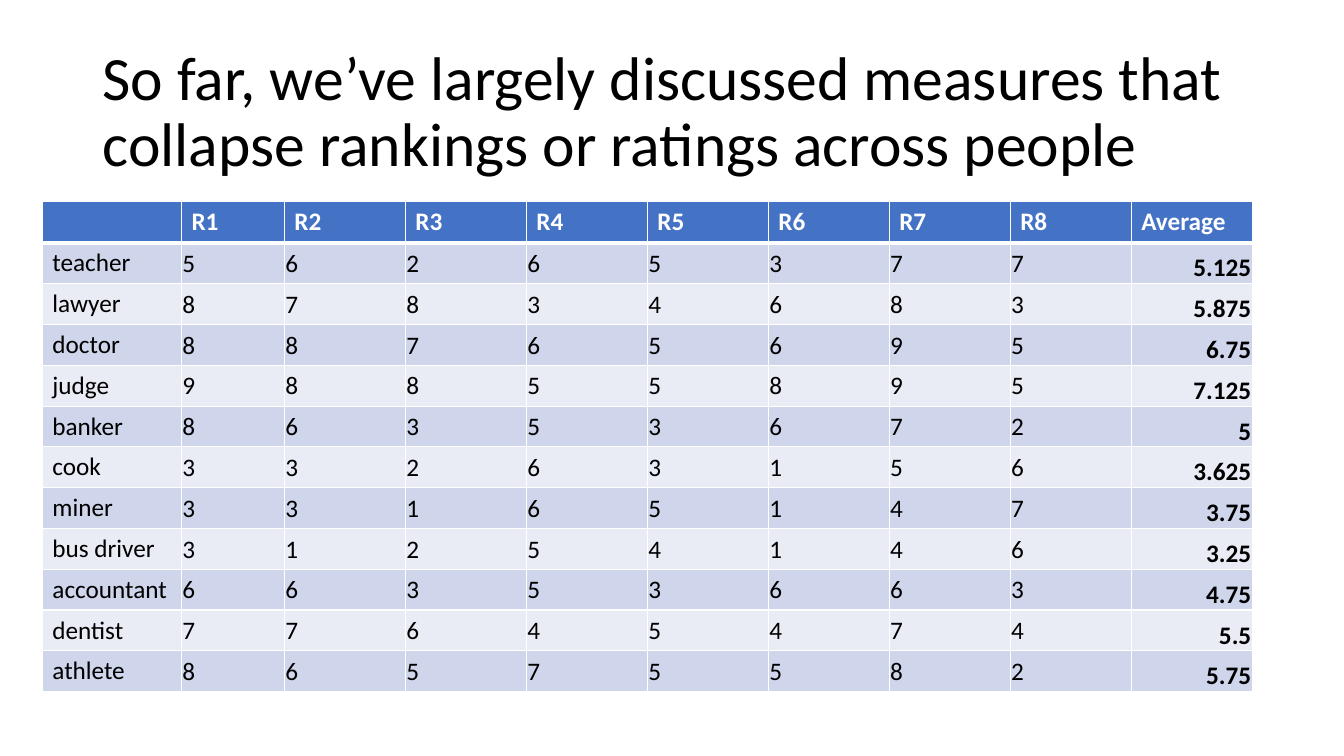
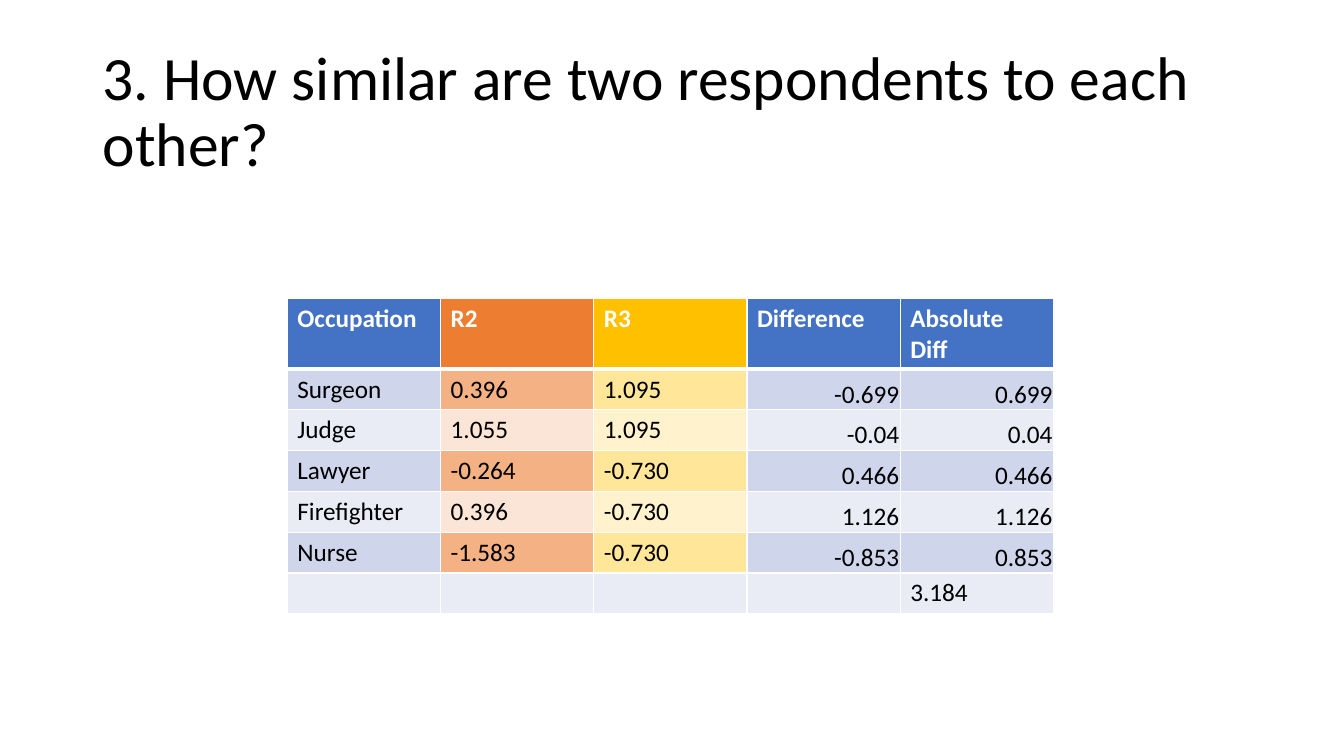
from dataclasses import dataclass

import lxml.etree
import pptx
import pptx.dml.color
import pptx.enum.text
import pptx.oxml.ns
import pptx.presentation
import pptx.slide
import pptx.table
import pptx.text.text
import pptx.util

Inches = pptx.util.Inches
Align = pptx.enum.text.PP_ALIGN
Anchor = pptx.enum.text.MSO_ANCHOR

FONT = "Calibri"
COLORS = {
    "text": "000000",
    "white": "FFFFFF",
    "blue": "4472C4",
    "blue_band": "CFD5EA",
    "blue_pale": "E9EBF5",
    "orange": "ED7D31",
    "orange_band": "F4B183",
    "orange_pale": "FBE5D6",
    "gold": "FFC000",
    "gold_band": "FFE699",
    "gold_pale": "FFF2CC",
}


@dataclass(frozen=True)
class CellStyle:
    align: Align = Align.LEFT
    anchor: Anchor = Anchor.TOP
    tight: bool = False
    bold: bool = False
    color: str = "text"


@dataclass(frozen=True)
class Column:
    header: str
    width: float
    style: CellStyle
    hue: str = "blue"


@dataclass(frozen=True)
class TableSpec:
    left: float
    top: float
    header_height: float
    row_height: float
    columns: list[Column]
    rows: list[list[str]]
    total: str = ""


HEADER = CellStyle(bold=True, color="white")
LABEL = CellStyle()
SCORE = CellStyle(anchor=Anchor.MIDDLE, tight=True)
RESULT = CellStyle(Align.RIGHT, Anchor.BOTTOM, tight=True)
AVERAGE = CellStyle(Align.RIGHT, Anchor.BOTTOM, tight=True, bold=True)


def rgb(name: str) -> pptx.dml.color.RGBColor:
    return pptx.dml.color.RGBColor.from_string(COLORS[name])


def format_runs(p: pptx.text.text._Paragraph, size: float, color: str, bold: bool = False) -> None:
    for r in p.runs:
        r.font.name = FONT
        r.font.size = pptx.util.Pt(size)
        r.font.bold = bold
        r.font.color.rgb = rgb(color)


def add_title(s: pptx.slide.Slide, text: str) -> None:
    sp = s.shapes.add_textbox(Inches(0.92), Inches(0.4), Inches(11.5), Inches(1.45))
    tf = sp.text_frame
    tf.word_wrap = True
    tf.vertical_anchor = Anchor.MIDDLE
    p = tf.paragraphs[0]
    p.text = text
    p.line_spacing = 0.9
    format_runs(p, 44, "text")


def set_borders(cell: pptx.table._Cell, top: float, bottom: float) -> None:
    qn = pptx.oxml.ns.qn
    tc_pr = cell._tc.get_or_add_tcPr()
    edges = {"a:lnL": 1, "a:lnR": 1, "a:lnT": top, "a:lnB": bottom}
    for i, (tag, points) in enumerate(edges.items()):
        ln = lxml.etree.Element(qn(tag), w=str(int(pptx.util.Pt(points))))
        fill = lxml.etree.SubElement(ln, qn("a:solidFill"))
        lxml.etree.SubElement(fill, qn("a:srgbClr"), val=COLORS["white"])
        tc_pr.insert(i, ln)


def fill_cell(cell: pptx.table._Cell, text: str, style: CellStyle, fill: str, row: int) -> None:
    cell.fill.solid()
    cell.fill.fore_color.rgb = rgb(fill)
    cell.vertical_anchor = style.anchor
    if style.tight:
        cell.margin_left = cell.margin_top = cell.margin_right = Inches(0.01)
        cell.margin_bottom = 0
    p = cell.text_frame.paragraphs[0]
    p.text = text
    p.alignment = style.align
    format_runs(p, 18, style.color, style.bold)
    set_borders(cell, 3 if row == 1 else 1, 3 if row == 0 else 1)


def add_table(s: pptx.slide.Slide, spec: TableSpec) -> None:
    n_rows = 1 + len(spec.rows) + bool(spec.total)
    n_cols = len(spec.columns)
    width = sum(column.width for column in spec.columns)
    height = spec.header_height + spec.row_height * (n_rows - 1)
    table = s.shapes.add_table(
        n_rows, n_cols, Inches(spec.left), Inches(spec.top), Inches(width), Inches(height)
    ).table
    table.horz_banding = False
    for i, row in enumerate(table.rows):
        row.height = Inches(spec.row_height if i else spec.header_height)
    for j, column in enumerate(spec.columns):
        table.columns[j].width = Inches(column.width)
        fill_cell(table.cell(0, j), column.header, HEADER, column.hue, 0)
        for i, values in enumerate(spec.rows, start=1):
            shade = "band" if i % 2 else "pale"
            fill_cell(table.cell(i, j), values[j], column.style, f"{column.hue}_{shade}", i)
        if spec.total:
            text = spec.total if j == n_cols - 1 else ""
            fill_cell(table.cell(n_rows - 1, j), text, LABEL, "blue_pale", n_rows - 1)


def add_table_slide(prs: pptx.presentation.Presentation, title: str, spec: TableSpec) -> None:
    s = prs.slides.add_slide(prs.slide_layouts[6])
    add_title(s, title)
    add_table(s, spec)


RATINGS = [
    ("teacher", "56265377", "5.125"),
    ("lawyer", "87834683", "5.875"),
    ("doctor", "88765695", "6.75"),
    ("judge", "98855895", "7.125"),
    ("banker", "86353672", "5"),
    ("cook", "33263156", "3.625"),
    ("miner", "33165147", "3.75"),
    ("bus driver", "31254146", "3.25"),
    ("accountant", "66353663", "4.75"),
    ("dentist", "77645474", "5.5"),
    ("athlete", "86575582", "5.75"),
]
ratings_table = TableSpec(
    left=0.42,
    top=2,
    header_height=0.41,
    row_height=0.405,
    columns=[
        Column("", 1.38, LABEL),
        Column("R1", 1.02, SCORE),
        *[Column(f"R{n}", 1.2, SCORE) for n in range(2, 9)],
        Column("Average", 1.2, AVERAGE),
    ],
    rows=[[job, *scores, average] for job, scores, average in RATINGS],
)

similarity_table = TableSpec(
    left=2.85,
    top=2.96,
    header_height=0.7,
    row_height=0.405,
    columns=[
        Column("Occupation", 1.52, LABEL),
        Column("R2", 1.52, LABEL, "orange"),
        Column("R3", 1.52, LABEL, "gold"),
        Column("Difference", 1.52, RESULT),
        Column("Absolute Diff", 1.52, RESULT),
    ],
    rows=[
        ["Surgeon", "0.396", "1.095", "-0.699", "0.699"],
        ["Judge", "1.055", "1.095", "-0.04", "0.04"],
        ["Lawyer", "-0.264", "-0.730", "0.466", "0.466"],
        ["Firefighter", "0.396", "-0.730", "1.126", "1.126"],
        ["Nurse", "-1.583", "-0.730", "-0.853", "0.853"],
    ],
    total="3.184",
)

prs = pptx.Presentation()
prs.slide_width = Inches(13.33)
prs.slide_height = Inches(7.5)
add_table_slide(
    prs,
    "So far, we’ve largely discussed measures that\vcollapse rankings or ratings across people",
    ratings_table,
)
add_table_slide(prs, "3. How similar are two respondents to each other?", similarity_table)
prs.save("out.pptx")
